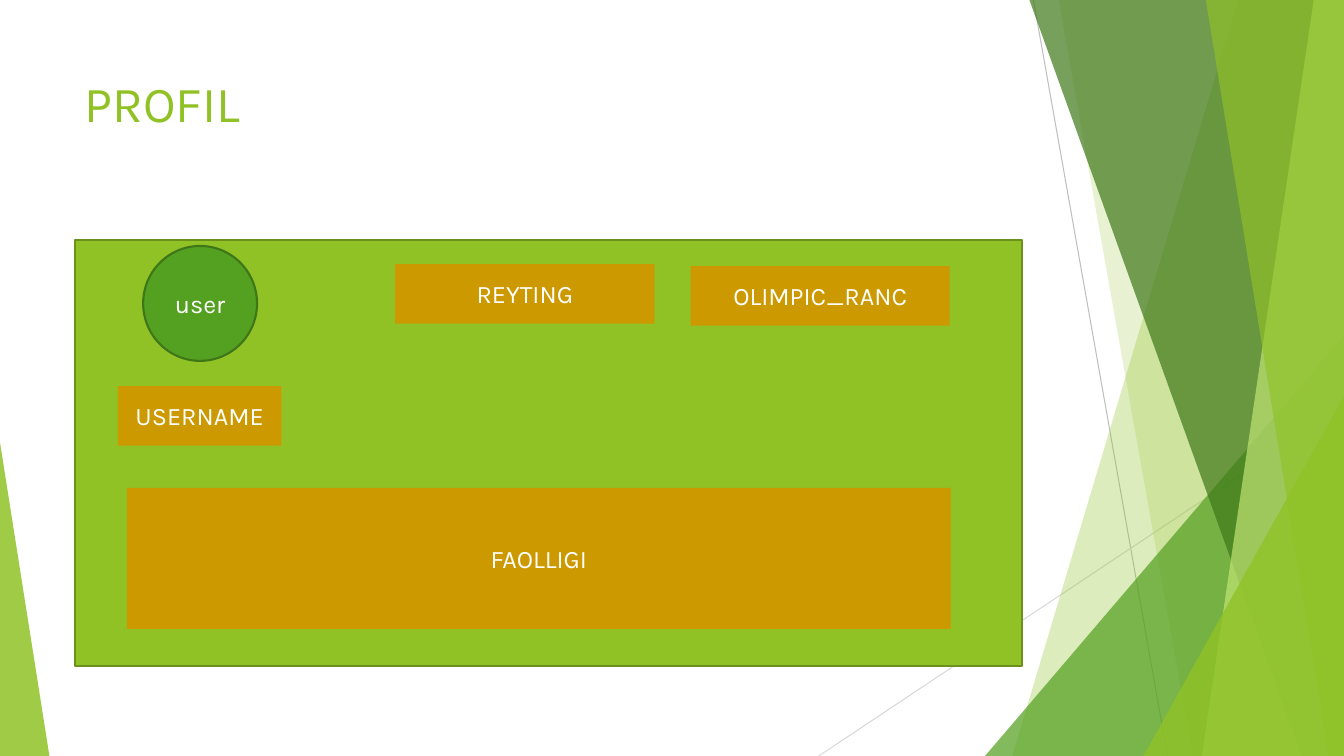
"""Build the PROFIL slide: a profile page wireframe beside faceted green panes."""
import dataclasses
import typing

import lxml.etree
import pptx
import pptx.dml.color
import pptx.enum.shapes
import pptx.enum.text
import pptx.oxml.ns
import pptx.util

Inches = pptx.util.Inches
Preset = pptx.enum.shapes.MSO_SHAPE
Anchor = pptx.enum.text.MSO_ANCHOR
Align = pptx.enum.text.PP_ALIGN
WIDTH, HEIGHT = 13.33, 7.5


@dataclasses.dataclass(frozen=True)
class Theme:
    font: str = "Karla"
    title_size: int = 36
    label_size: int = 18
    outline: float = 1.5
    hairline: float = 0.75
    lime: str = "90C226"
    lime_edge: str = "6B901C"
    pale_lime: str = "C0E474"
    green: str = "54A021"
    green_edge: str = "3E7618"
    forest: str = "3F7819"
    amber: str = "CC9900"
    white: str = "FFFFFF"
    gray: str = "BFBFBF"
    light_gray: str = "D9D9D9"


THEME = Theme()


@dataclasses.dataclass(frozen=True)
class Ray:
    start: tuple[float, float]
    end: tuple[float, float]
    color: str


@dataclasses.dataclass(frozen=True)
class Pane:
    top_x: float
    bottom_x: float
    color: str
    opacity: int


@dataclasses.dataclass(frozen=True)
class Corner:
    left: float
    top: float
    width: float
    apex: float
    color: str
    opacity: int


@dataclasses.dataclass(frozen=True)
class Block:
    left: float
    top: float
    width: float
    height: float
    label: str = ""
    color: str = THEME.amber
    edge: str = ""
    preset: Preset = Preset.RECTANGLE


RAYS = (
    Ray((10.25, 0), (11.58, HEIGHT), THEME.gray),
    Ray((WIDTH, 4.03), (8.12, HEIGHT), THEME.light_gray),
)
FACETS = (
    Pane(12.28, 10.04, THEME.lime, 30),
    Pane(10.5, 11.83, THEME.lime, 20),
    Corner(9.77, 3.33, 3.56, 1, THEME.green, 72),
    Pane(10.21, 12.91, THEME.forest, 70),
    Pane(13.03, 11.92, THEME.pale_lime, 70),
    Pane(11.96, 13.18, THEME.lime, 65),
    Corner(11.34, 3.93, 1.99, 1, THEME.lime, 80),
    Corner(0, 4.39, 0.49, 0, THEME.lime, 85),
)
BLOCKS = (
    Block(0.74, 2.38, 9.4, 4.23, "", THEME.lime, THEME.lime_edge),
    Block(1.42, 2.44, 1.13, 1.14, "user", THEME.green, THEME.green_edge, Preset.OVAL),
    Block(1.17, 3.83, 1.62, 0.59, "USERNAME"),
    Block(6.85, 2.64, 2.57, 0.59, "OLIMPIC_RANC"),
    Block(3.92, 2.62, 2.57, 0.59, "REYTING"),
    Block(1.26, 4.84, 8.17, 1.4, "FAOLLIGI"),
)


def rgb(color: str) -> pptx.dml.color.RGBColor:
    return pptx.dml.color.RGBColor.from_string(color)


def apply_format(target: typing.Any, values: dict[str, typing.Any]) -> None:
    for name, value in values.items():
        setattr(target, name, value)


def paint(shape: typing.Any, color: str, edge: str = "", opacity: int = 100) -> None:
    shape.shadow.inherit = False
    shape.fill.solid()
    shape.fill.fore_color.rgb = rgb(color)
    if opacity < 100:
        fill = shape.element.spPr.find(pptx.oxml.ns.qn("a:solidFill"))
        alpha = lxml.etree.SubElement(fill[0], pptx.oxml.ns.qn("a:alpha"))
        alpha.set("val", str(opacity * 1000))
    if edge:
        shape.line.color.rgb = rgb(edge)
        shape.line.width = pptx.util.Pt(THEME.outline)
    else:
        shape.line.fill.background()


def write(shape: typing.Any, text: str, size: int, color: str, anchor: Anchor, align: Align) -> None:
    apply_format(shape.text_frame, {"word_wrap": True, "vertical_anchor": anchor})
    paragraph = shape.text_frame.paragraphs[0]
    paragraph.alignment = align
    run = paragraph.add_run()
    run.text = text
    apply_format(run.font, {"name": THEME.font, "size": pptx.util.Pt(size)})
    run.font.color.rgb = rgb(color)


def draw_ray(slide: pptx.slide.Slide, ray: Ray) -> None:
    ends = [Inches(value) for value in (*ray.start, *ray.end)]
    connector = slide.shapes.add_connector(pptx.enum.shapes.MSO_CONNECTOR.STRAIGHT, *ends)
    connector.line.color.rgb = rgb(ray.color)
    connector.line.width = pptx.util.Pt(THEME.hairline)
    lxml.etree.SubElement(connector.element.spPr, pptx.oxml.ns.qn("a:effectLst"))


def draw_facet(slide: pptx.slide.Slide, facet: Pane | Corner) -> None:
    if isinstance(facet, Pane):
        corners = ((WIDTH, 0), (WIDTH, HEIGHT), (facet.bottom_x, HEIGHT))
        builder = slide.shapes.build_freeform(Inches(facet.top_x), 0)
        builder.add_line_segments([(Inches(x), Inches(y)) for x, y in corners], close=True)
        shape = builder.convert_to_shape()
    else:
        box = (facet.left, facet.top, facet.width, HEIGHT - facet.top)
        shape = slide.shapes.add_shape(Preset.ISOSCELES_TRIANGLE, *map(Inches, box))
        shape.adjustments[0] = facet.apex
    paint(shape, facet.color, opacity=facet.opacity)


def draw_block(slide: pptx.slide.Slide, block: Block) -> None:
    box = (block.left, block.top, block.width, block.height)
    shape = slide.shapes.add_shape(block.preset, *map(Inches, box))
    paint(shape, block.color, block.edge)
    if block.label:
        write(shape, block.label, THEME.label_size, THEME.white, Anchor.MIDDLE, Align.CENTER)


def main() -> None:
    presentation = pptx.Presentation()
    apply_format(presentation, {"slide_width": Inches(WIDTH), "slide_height": Inches(HEIGHT)})
    slide = presentation.slides.add_slide(presentation.slide_layouts[6])
    for ray in RAYS:
        draw_ray(slide, ray)
    for facet in FACETS:
        draw_facet(slide, facet)
    title = slide.shapes.add_textbox(*map(Inches, (0.74, 0.67, 9.4, 1.44)))
    write(title, "PROFIL", THEME.title_size, THEME.lime, Anchor.TOP, Align.LEFT)
    for block in BLOCKS:
        draw_block(slide, block)
    presentation.save("out.pptx")


if __name__ == "__main__":
    main()
